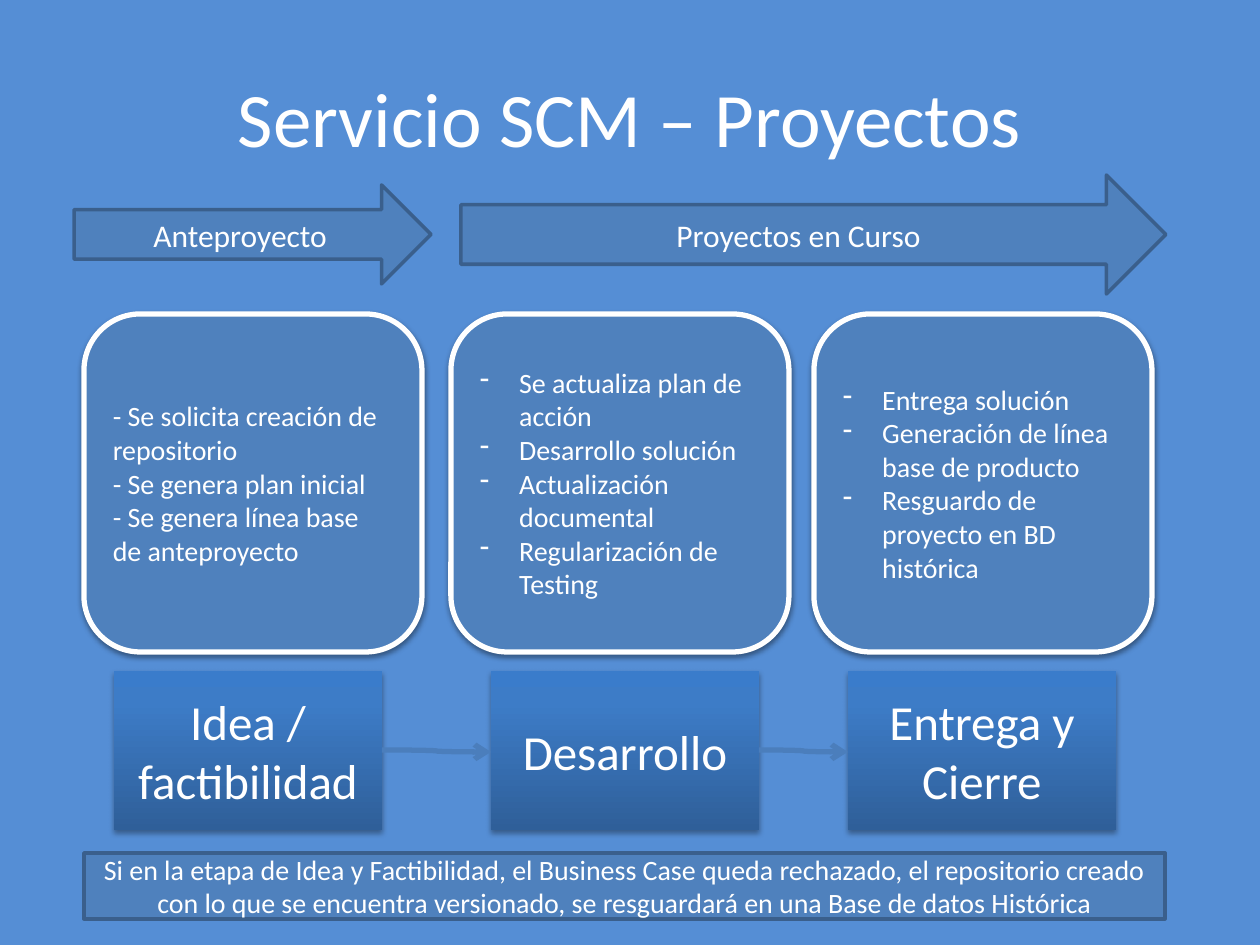
from dataclasses import dataclass

import pptx
import pptx.dml.color
import pptx.enum.dml
import pptx.enum.shapes
import pptx.enum.text
import pptx.oxml
import pptx.oxml.ns
import pptx.util
from lxml import etree

EMU_PER_PIXEL = 914400 // 126
COLORS = {
    "background": "558ED5",
    "panel": "4F81BD",
    "border": "3A5F8C",
    "white": "FFFFFF",
    "link": "4B7EBC",
    "shadow": "000000",
}
PHASE_STOPS = [(0, "2F5F99"), (80, "3D7CC7"), (100, "3A7CCB")]
FONT = "Calibri"
SHAPES = pptx.enum.shapes.MSO_SHAPE
ALIGN = pptx.enum.text.PP_ALIGN
FRAME_FORMAT = {
    "word_wrap": True,
    "vertical_anchor": pptx.enum.text.MSO_ANCHOR.MIDDLE,
}


@dataclass
class Block:
    left: int
    top: int
    width: int
    height: int
    lines: list[str]
    size: int
    preset: object = SHAPES.RECTANGLE
    fill: str = "panel"
    border: str = "border"
    border_width: int = 2
    align: object = ALIGN.CENTER
    bulleted: bool = False
    shadow_alpha: int = 0


def px(value: int) -> int:
    return pptx.util.Emu(value * EMU_PER_PIXEL)


def rgb(name: str) -> pptx.dml.color.RGBColor:
    return pptx.dml.color.RGBColor.from_string(COLORS[name])


def sub(parent, tag: str, **attributes: str):
    return etree.SubElement(parent, pptx.oxml.ns.qn(tag), attributes)


def write_text(frame, block: Block) -> None:
    for name, value in FRAME_FORMAT.items():
        setattr(frame, name, value)
    for index, line in enumerate(block.lines):
        paragraph = frame.add_paragraph() if index else frame.paragraphs[0]
        paragraph.alignment = block.align
        run = paragraph.add_run()
        run.text = line
        for name, value in {"name": FONT, "size": pptx.util.Pt(block.size)}.items():
            setattr(run.font, name, value)
        run.font.color.rgb = rgb("white")
        if block.bulleted:
            properties = paragraph._p.get_or_add_pPr()
            properties.set("marL", "285750")
            properties.set("indent", "-285750")
            sub(properties, "a:buChar", char="-")


def paint_gradient(shape) -> None:
    shape.fill.gradient()
    shape.fill.gradient_angle = 90
    stops = shape._element.spPr.find(".//" + pptx.oxml.ns.qn("a:gsLst"))
    for stop in list(stops):
        stops.remove(stop)
    for position, color in PHASE_STOPS:
        sub(sub(stops, "a:gs", pos=str(position * 1000)), "a:srgbClr", val=color)


def cast_shadow(shape, alpha: int) -> None:
    effects = shape._element.spPr.find(pptx.oxml.ns.qn("a:effectLst"))
    shadow = sub(effects, "a:outerShdw", blurRad="40000", dist="21000",
                 dir="5400000", rotWithShape="0")
    color = sub(shadow, "a:srgbClr", val=COLORS["shadow"])
    sub(color, "a:alpha", val=str(alpha * 1000))


def draw_block(slide, block: Block) -> None:
    shape = slide.shapes.add_shape(
        block.preset, px(block.left), px(block.top), px(block.width), px(block.height))
    if block.fill == "gradient":
        paint_gradient(shape)
    else:
        shape.fill.solid()
        shape.fill.fore_color.rgb = rgb(block.fill)
    if block.border:
        shape.line.color.rgb = rgb(block.border)
        shape.line.width = pptx.util.Pt(block.border_width)
    else:
        shape.line.fill.background()
    shape.shadow.inherit = False
    if block.shadow_alpha:
        cast_shadow(shape, block.shadow_alpha)
    write_text(shape.text_frame, block)


def draw_title(slide, title: Block) -> None:
    box = slide.shapes.add_textbox(
        px(title.left), px(title.top), px(title.width), px(title.height))
    write_text(box.text_frame, title)


def draw_link(slide, start: int, end: int) -> None:
    link = slide.shapes.add_connector(
        pptx.enum.shapes.MSO_CONNECTOR.CURVE, px(start), px(750), px(end), px(752))
    link.line.color.rgb = rgb("link")
    link.line.width = pptx.util.Pt(3)
    sub(link.line._get_or_add_ln(), "a:tailEnd", type="arrow")
    sub(link._element.spPr, "a:effectLst")


def activity(left: int, lines: list[str], bulleted: bool = True) -> Block:
    return Block(left, 314, 338, 338, lines, 16, SHAPES.ROUNDED_RECTANGLE,
                 border="white", border_width=3, align=ALIGN.LEFT,
                 bulleted=bulleted, shadow_alpha=38)


def phase(left: int, name: str) -> Block:
    return Block(left, 671, PHASE_WIDTH, 159, [name], 28, fill="gradient",
                 border="", shadow_alpha=35)


PHASE_WIDTH = 268
PHASES = [(114, "Idea / factibilidad"), (491, "Desarrollo"), (848, "Entrega y Cierre")]
TITLE = Block(63, 38, 1134, 157, ["Servicio SCM – Proyectos"], 44)
STAGES = [
    Block(74, 185, 357, 99, ["Anteproyecto"], 18, SHAPES.RIGHT_ARROW),
    Block(461, 175, 705, 119, ["Proyectos en Curso"], 18, SHAPES.RIGHT_ARROW),
]
ACTIVITIES = [
    activity(84, ["- Se solicita creación de repositorio", "- Se genera plan inicial",
                  "- Se genera línea base de anteproyecto"], bulleted=False),
    activity(451, ["Se actualiza plan de acción", "Desarrollo solución",
                   "Actualización documental", "Regularización de Testing"]),
    activity(814, ["Entrega solución", "Generación de línea base de producto",
                   "Resguardo de proyecto en BD histórica"]),
]
REJECTION_NOTE = Block(84, 853, 1081, 66, [
    "Si en la etapa de Idea y Factibilidad, el Business Case queda rechazado, "
    "el repositorio creado con lo que se encuentra versionado, "
    "se resguardará en una Base de datos Histórica"], 16)


def main() -> None:
    deck = pptx.Presentation()
    deck.slide_width = pptx.util.Inches(10)
    deck.slide_height = pptx.util.Inches(7.5)
    slide = deck.slides.add_slide(deck.slide_layouts[6])
    slide.background.fill.solid()
    slide.background.fill.fore_color.rgb = rgb("background")
    draw_title(slide, TITLE)
    for block in STAGES + ACTIVITIES + [phase(*item) for item in PHASES]:
        draw_block(slide, block)
    for (left, _), (following, _) in zip(PHASES, PHASES[1:]):
        draw_link(slide, left + PHASE_WIDTH, following)
    draw_block(slide, REJECTION_NOTE)
    deck.save("out.pptx")


main()
